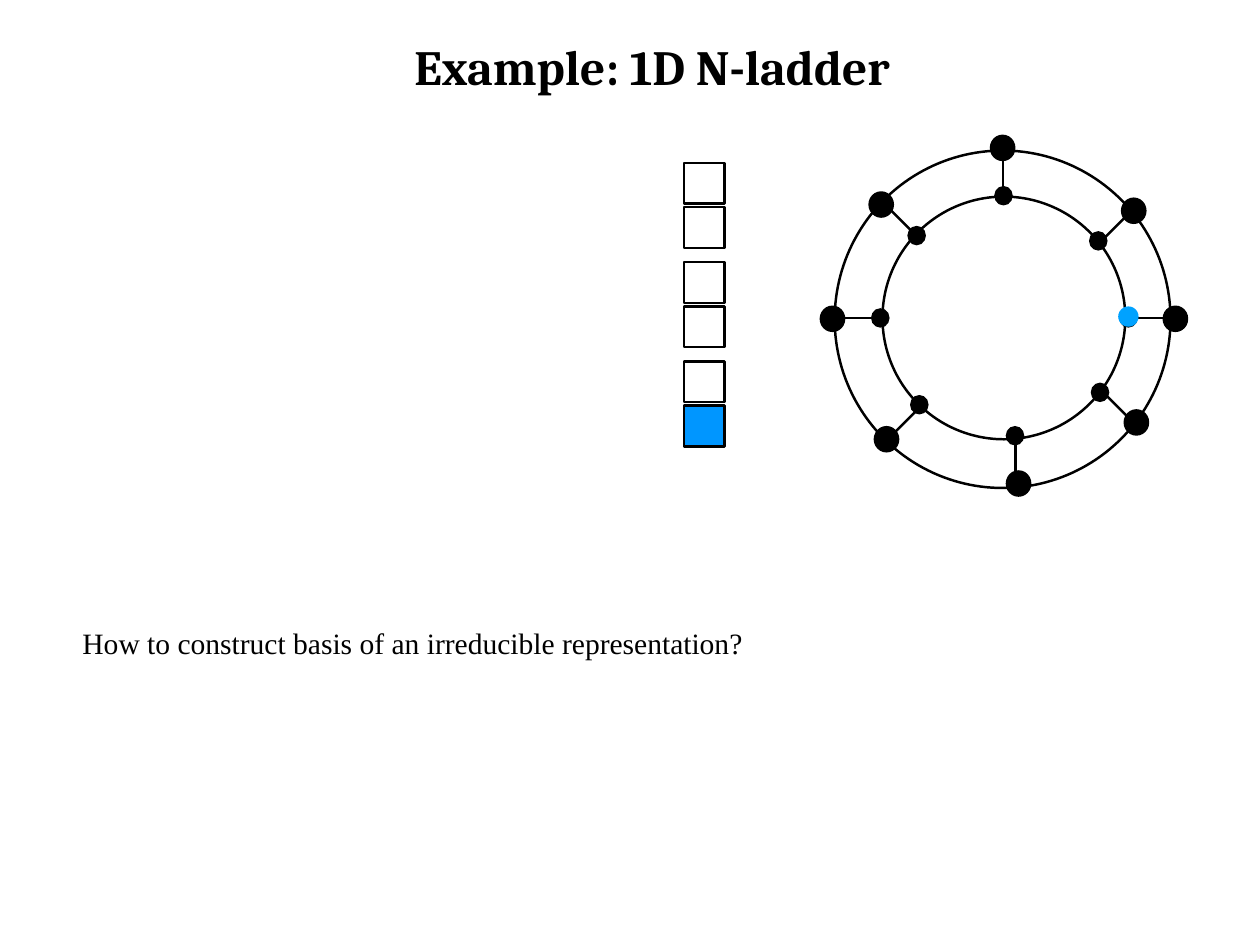
from pptx import Presentation
from pptx import util as u
from pptx.dml.color import RGBColor
from pptx.enum import shapes, text
from pptx.oxml.ns import qn
from lxml import etree

# Content: each entry is (words, box, style name)
TEXTS = [
    ("Example: 1D N-ladder", (0.96, 0.3, 12.8, 0.88), "title"),
    ("How to construct basis of an irreducible representation?",
     (0.88, 7.01, 12.95, 0.46), "body"),
]

# Ladder sites, clockwise from the top: inner corner, outer corner, rung ends
SITES = [
    ((11.22, 2.1), (11.17, 1.52), (11.32, 2.12, 11.32, 1.57)),
    ((12.29, 2.61), (12.65, 2.23), (12.81, 2.34, 12.43, 2.72)),
    ((12.63, 3.48), (13.12, 3.45), (13.15, 3.59, 12.76, 3.59)),
    ((12.31, 4.32), (12.68, 4.62), (12.81, 4.79, 12.43, 4.41)),
    ((11.35, 4.81), (11.35, 5.31), (11.46, 5.48, 11.46, 4.93)),
    ((10.27, 4.46), (9.86, 4.81), (10.44, 4.54, 10.06, 4.92)),
    ((9.83, 3.48), (9.25, 3.45), (9.93, 3.59, 9.54, 3.59)),
    ((10.24, 2.55), (9.8, 2.16), (10.32, 2.64, 9.94, 2.26)),
]
INNER, OUTER = (0.21, 0.22), (0.29, 0.3)
RINGS = [(9.96, 2.22, 2.74, 2.74), (9.42, 1.7, 3.79, 3.81)]
MARK = (12.62, 3.46, 0.23, 0.23)

# Column of boxes: three pairs, the last box filled
LEFT, TOP, SIDE = 7.72, 1.84, 0.46
PAIRS, PITCH, STEP = 3, 1.12, 0.5

THEME = {
    "ink": RGBColor(0, 0, 0),
    "mark": RGBColor(0x00, 0xA2, 0xFF),
    "box": RGBColor(0x00, 0x96, 0xFF),
    "line": u.Pt(2),
    "title": ("Cambria", 40, True, text.PP_ALIGN.CENTER, text.MSO_ANCHOR.MIDDLE),
    "body": ("Times New Roman", 24, False, text.PP_ALIGN.LEFT, text.MSO_ANCHOR.TOP),
}

deck = Presentation()
deck.slide_width, deck.slide_height = u.Inches(14.22), u.Inches(10.67)
slide = deck.slides.add_slide(deck.slide_layouts[6])
KIND = shapes.MSO_SHAPE


def write(words, box, style):
    font, size, bold, align, anchor = THEME[style]
    frame = slide.shapes.add_textbox(*map(u.Inches, box)).text_frame
    frame.word_wrap = True
    frame.vertical_anchor = anchor
    frame.margin_left = frame.margin_right = u.Inches(0.05)
    frame.margin_top = frame.margin_bottom = u.Inches(0.05)
    para = frame.paragraphs[0]
    para.alignment = align
    run = para.add_run()
    run.text = words
    run.font.name, run.font.size, run.font.bold = font, u.Pt(size), bold
    run.font.color.rgb = THEME["ink"]


def draw(kind, box, fill=None, edge=False):
    shape = slide.shapes.add_shape(kind, *map(u.Inches, box))
    shape.shadow.inherit = False
    if fill:
        shape.fill.solid()
        shape.fill.fore_color.rgb = THEME[fill]
    else:
        shape.fill.background()
    if edge:
        shape.line.color.rgb = THEME["ink"]
        shape.line.width = THEME["line"]
    else:
        shape.line.fill.background()


def join(ends):
    rung = slide.shapes.add_connector(
        shapes.MSO_CONNECTOR.STRAIGHT, *map(u.Inches, ends))
    rung.line.color.rgb = THEME["ink"]
    rung.line.width = THEME["line"]
    etree.SubElement(rung._element.spPr, qn("a:effectLst"))


# Title and question
for item in TEXTS:
    write(*item)

# Ring ladder: circles, sites, rungs and the marked site
for ring in RINGS:
    draw(KIND.OVAL, ring, edge=True)
for inner, outer, ends in SITES:
    draw(KIND.OVAL, inner + INNER, "ink")
    draw(KIND.OVAL, outer + OUTER, "ink")
    join(ends)
draw(KIND.OVAL, MARK, "mark")

# Paired boxes
for i in range(2 * PAIRS):
    pair, low = divmod(i, 2)
    top = TOP + pair * PITCH + low * STEP
    last = i == 2 * PAIRS - 1
    draw(KIND.RECTANGLE, (LEFT, top, SIDE, SIDE), "box" if last else None, True)

deck.save("out.pptx")
